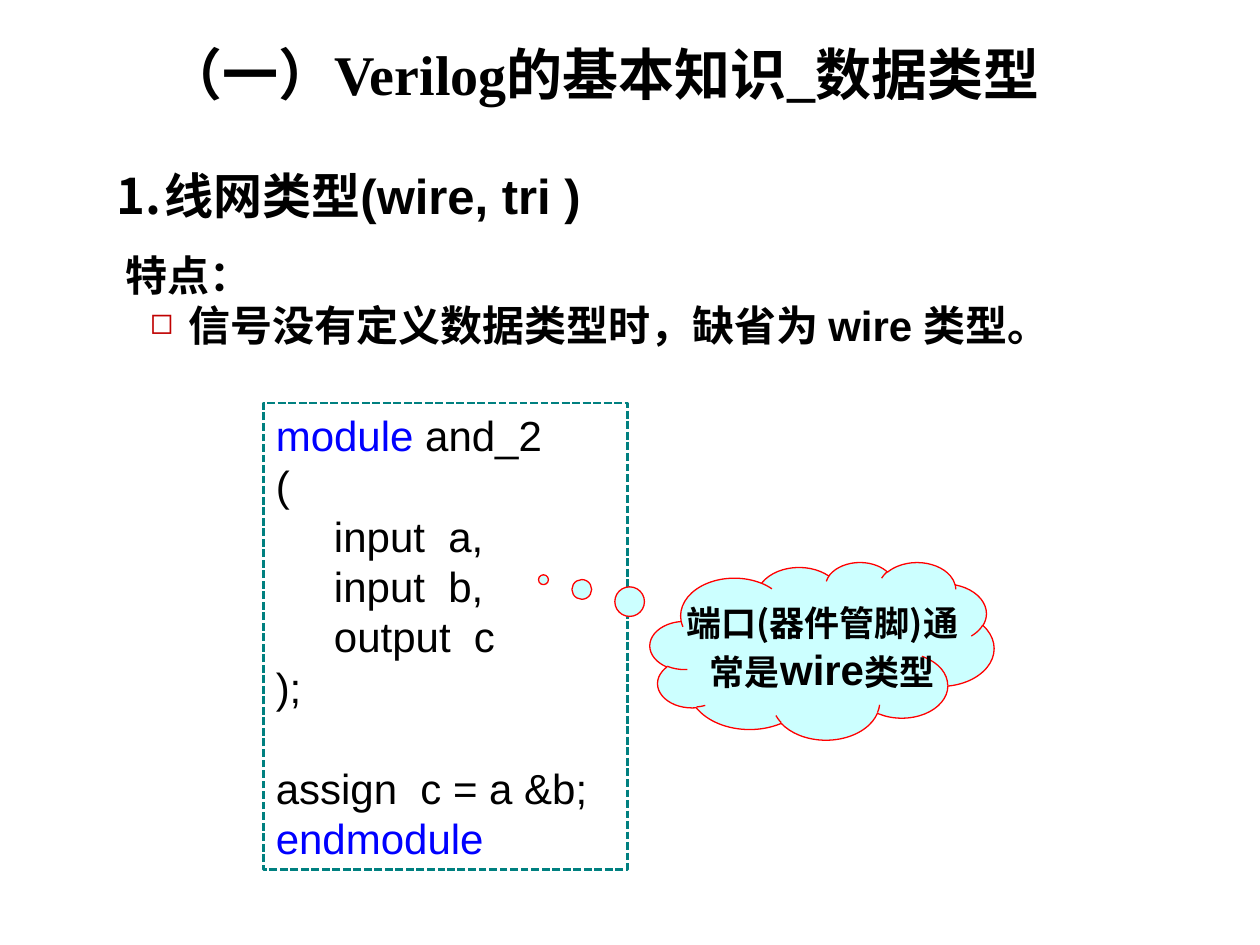
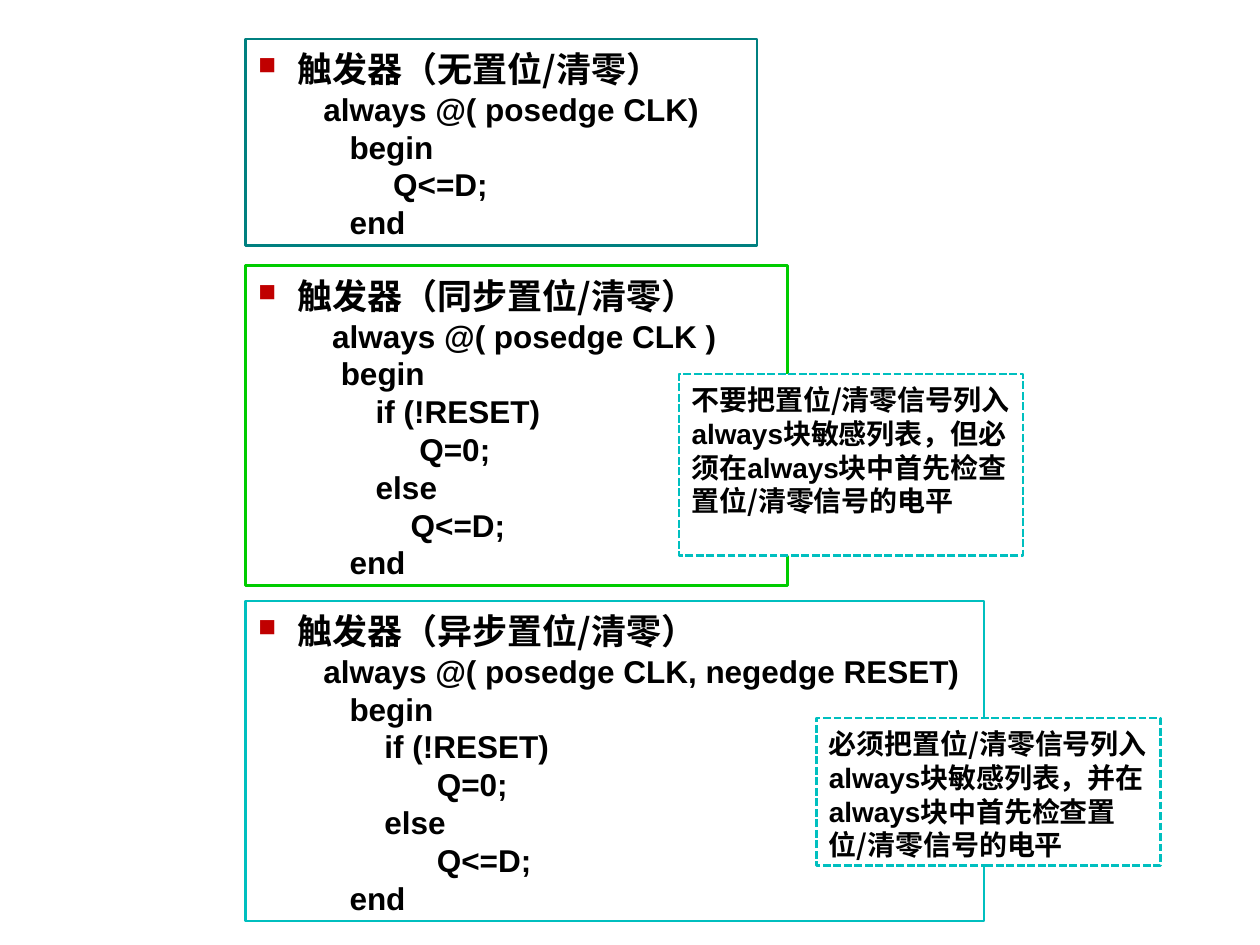
from lxml import etree
from pptx import Presentation
from pptx.dml.color import RGBColor
from pptx.enum.dml import MSO_LINE
from pptx.enum.shapes import MSO_SHAPE
from pptx.enum.text import MSO_ANCHOR, MSO_AUTO_SIZE, PP_ALIGN
from pptx.oxml.ns import qn
from pptx.util import Inches, Pt

COLOURS = {
    "ink": "000000", "paper": "FFFFFF", "keyword": "0000FF", "bullet": "C00000",
    "teal": "008080", "green": "00CC00", "cyan": "00BFBF",
    "cloud": "CCFFFF", "cloud_edge": "FF0000",
}
LATIN, CJK, SERIF = "Arial", "Noto Sans CJK SC", "Times New Roman"
RECTANGLE, CLOUD = MSO_SHAPE.RECTANGLE, MSO_SHAPE.CLOUD_CALLOUT
DASHED = MSO_LINE.SQUARE_DOT
LEFT, CENTER = PP_ALIGN.LEFT, PP_ALIGN.CENTER
COLUMNS, ROWS = 100, 75
CELL = Inches(0.1)
LINE_HEIGHT = 1.2
TITLE_LAYOUT, BLANK_LAYOUT = 5, 6

FLIP_FLOPS = [
    ("触发器（无置位/清零）", (19.5, 3.1, 40.6, 16.4), "teal", None, [
        (3, "always @( posedge CLK)"), (6, "begin"), (11, "Q<=D;"), (6, "end")]),
    ("触发器（异步置位/清零）", (19.5, 47.7, 58.6, 25.4), "cyan", None, [
        (3, "always @( posedge CLK, negedge RESET)"), (6, "begin"),
        (10, "if (!RESET)"), (16, "Q=0;"), (10, "else"), (16, "Q<=D;"), (6, "end")]),
    ("触发器（同步置位/清零）", (19.5, 21.1, 43, 25.4), "green", "paper", [
        (4, "always @( posedge CLK )"), (5, "begin"), (9, "if (!RESET)"),
        (14, "Q=0;"), (9, "else"), (13, "Q<=D;"), (6, "end")]),
]
NOTES = [
    ((53.9, 29.7, 27.3, 14.4), "不要把置位/清零信号列入", "块敏感列表，但必须在"),
    ((64.8, 57, 27.3, 11.7), "必须把置位/清零信号列入", "块敏感列表，并在"),
]


def colour(name):
    """Return the named colour."""
    return RGBColor.from_string(COLOURS[name])


def cells(*lengths):
    """Turn grid cells into lengths."""
    return [round(length * CELL) for length in lengths]


def set_frame(frame, top=0.05, side=0.1):
    """Make a frame wrap, start at its top and keep its size."""
    frame.word_wrap = True
    frame.auto_size = MSO_AUTO_SIZE.NONE
    frame.vertical_anchor = MSO_ANCHOR.TOP
    frame.margin_top, frame.margin_bottom = Inches(top), Inches(0.05)
    frame.margin_left = frame.margin_right = Inches(side)
    return frame


def set_bullet(properties, bullet):
    """Give a paragraph a red mark, a number or no bullet."""
    if bullet is None:
        etree.SubElement(properties, qn("a:buNone"))
    elif bullet == "1.":
        etree.SubElement(properties, qn("a:buAutoNum"), type="arabicPeriod")
    else:
        tint = etree.SubElement(properties, qn("a:buClr"))
        etree.SubElement(tint, qn("a:srgbClr"), val=COLOURS["bullet"])
        etree.SubElement(properties, qn("a:buSzPct"), val="70000")
        etree.SubElement(properties, qn("a:buChar"), char=bullet)


def write(frame, *runs, size, font=CJK, bold=True, ink="ink", align=LEFT,
          bullet=None, margin=0, indent=0, spacing=1, before=0):
    """Add a paragraph of strings or (string, changes) pairs."""
    first = frame.paragraphs[0]
    paragraph = frame.add_paragraph() if first.runs else first
    properties = paragraph._p.get_or_add_pPr()
    properties.set("marL", str(Inches(margin)))
    properties.set("indent", str(Inches(indent)))
    set_bullet(properties, bullet)
    paragraph.alignment = align
    paragraph.line_spacing = Pt(size * LINE_HEIGHT * spacing)
    paragraph.space_before, paragraph.space_after = Pt(before), Pt(0)
    for item in runs:
        text, changes = (item, {}) if isinstance(item, str) else item
        look = {"size": size, "font": font, "ink": ink, **changes}
        run = paragraph.add_run()
        run.text = text
        run.font.size, run.font.bold = Pt(look["size"]), bold
        run.font.color.rgb = colour(look["ink"])
        run.font.name = look["font"]
        etree.SubElement(run._r.get_or_add_rPr(), qn("a:ea"), typeface=CJK)


def latin(text, **changes):
    """Return a run in the Latin font."""
    return text, {"font": LATIN, **changes}


def add_outline(slide, place, line, fill=None, dash=None, kind=RECTANGLE, width=1.5):
    """Draw an outlined shape on the grid."""
    shape = slide.shapes.add_shape(kind, *cells(*place))
    shape.shadow.inherit = False
    if fill:
        shape.fill.solid()
        shape.fill.fore_color.rgb = colour(fill)
    else:
        shape.fill.background()
    shape.line.color.rgb = colour(line)
    shape.line.width = Pt(width)
    if dash:
        shape.line.dash_style = dash
    return shape


def add_text_area(slide, place, **insets):
    """Add a text box on the grid and return its frame."""
    return set_frame(slide.shapes.add_textbox(*cells(*place)).text_frame, **insets)


def add_title(slide, text):
    """Place and fill the slide title."""
    title = slide.shapes.title
    title.left, title.top, title.width, title.height = cells(12.2, 2.1, 73.2, 11.7)
    write(set_frame(title.text_frame, top=0.1), text, size=32, font=SERIF)


def add_wire_features(slide):
    """List the features of the wire type."""
    features = add_text_area(slide, (8.3, 9.9, 84.3, 18), top=0.09)
    write(features, "线网类型", latin("(wire, tri )"), size=28, bullet="1.",
          margin=0.38, indent=-0.38, spacing=1.5)
    write(features, "特点：", size=24, margin=0.07, spacing=1.5)
    write(features, "信号没有定义数据类型时，缺省为 ", latin("wire "), "类型", latin("。"),
          size=24, bullet="◻", margin=0.57, indent=-0.31)


def add_module_code(slide):
    """Show the and_2 module in a dashed box."""
    code = set_frame(add_outline(slide, (20.9, 32, 28.9, 37), "teal",
                                 dash=DASHED).text_frame)
    plain = {"size": 24, "font": LATIN, "bold": False}
    write(code, ("module", {"ink": "keyword"}), " and_2", **plain)
    for line in ("(", "     input  a,", "     input  b,", "     output  c", ");"):
        write(code, line, **plain)
    write(code, "assign  c = a &b;", before=24 * LINE_HEIGHT, **plain)
    write(code, "endmodule", ink="keyword", **plain)


def add_port_cloud(slide):
    """Point a thought cloud at the ports."""
    cloud = add_outline(slide, (51.6, 44.6, 27.3, 14.1), "cloud_edge", "cloud",
                        kind=CLOUD, width=0.75)
    cloud.adjustments[0], cloud.adjustments[1] = -0.81, -0.4
    remark = add_text_area(slide, (52.4, 47, 25.7, 8.4), top=0.01, side=0.14)
    write(remark, "端口(器件管脚)通常是", latin("wire", size=24), "类型",
          size=20, align=CENTER, spacing=1.2)


def add_flip_flop(slide, heading, place, line, fill, code):
    """Show a flip-flop heading and its code in a box."""
    frame = set_frame(add_outline(slide, place, line, fill).text_frame, top=0.07)
    write(frame, heading, size=20, bullet="■", margin=0.31, indent=-0.31)
    for spaces, statement in code:
        write(frame, " " * spaces + statement, size=18, font=LATIN, margin=0.31)


def add_reset_note(slide, place, rule, link):
    """Add a dashed note on the sensitivity list."""
    note = add_outline(slide, place, "cyan", "paper", DASHED)
    write(set_frame(note.text_frame, top=0.07), rule, latin("always"), link,
          latin("always"), "块中首先检查置位/清零信号的电平", size=16)


def main():
    """Build both slides and save them."""
    deck = Presentation()
    deck.slide_width, deck.slide_height = cells(COLUMNS, ROWS)

    types = deck.slides.add_slide(deck.slide_layouts[TITLE_LAYOUT])
    add_title(types, "（一）Verilog的基本知识_数据类型")
    add_wire_features(types)
    add_module_code(types)
    add_port_cloud(types)

    flip_flops = deck.slides.add_slide(deck.slide_layouts[BLANK_LAYOUT])
    for flip_flop in FLIP_FLOPS:
        add_flip_flop(flip_flops, *flip_flop)
    for note in NOTES:
        add_reset_note(flip_flops, *note)

    deck.save("out.pptx")


if __name__ == "__main__":
    main()
